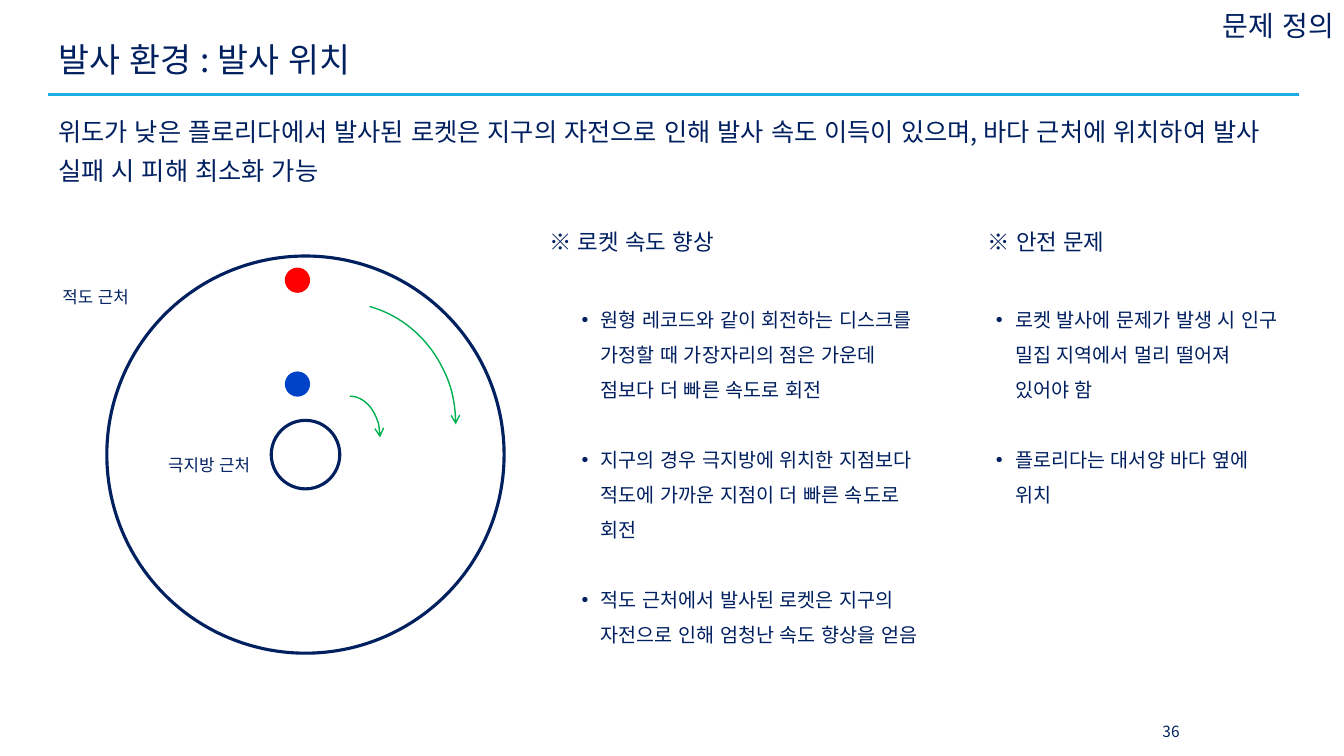
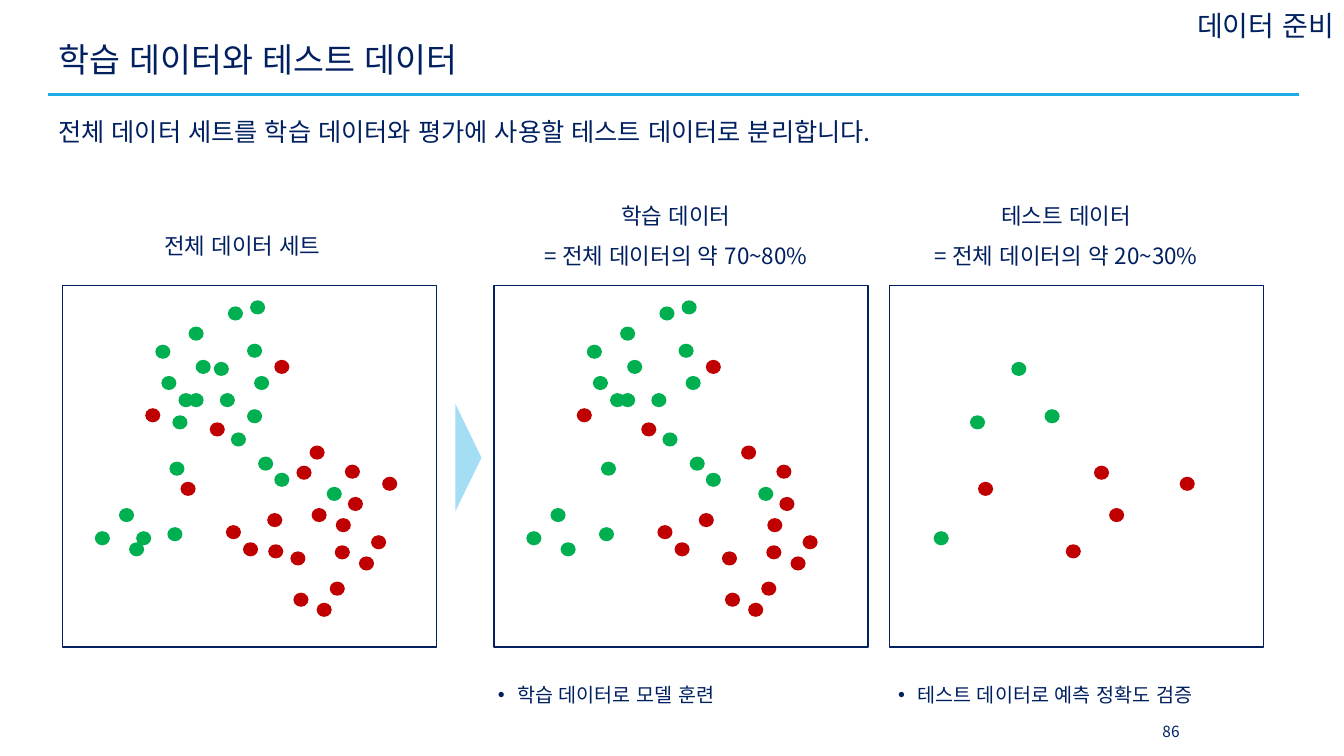
from lxml import etree
from pptx import Presentation
from pptx.dml.color import RGBColor
from pptx.enum.shapes import MSO_CONNECTOR, MSO_SHAPE
from pptx.enum.text import MSO_ANCHOR, PP_ALIGN
from pptx.oxml.ns import qn
from pptx.util import Inches, Pt

NAVY = RGBColor(0x00, 0x20, 0x60)
SKY = RGBColor(0x1C, 0xAD, 0xE4)
PALE_SKY = RGBColor(0xA4, 0xDE, 0xF4)
GREEN = RGBColor(0x00, 0xB0, 0x50)
DARK_RED = RGBColor(0xC0, 0x00, 0x00)
RED = RGBColor(0xFF, 0x00, 0x00)
BLUE = RGBColor(0x00, 0x42, 0xC8)

KOREAN = "Noto Sans CJK KR"
LATIN = "Arial"
LINE_HEIGHT = 1.19  # line pitch per point of text size

LEFT, CENTER, RIGHT = PP_ALIGN.LEFT, PP_ALIGN.CENTER, PP_ALIGN.RIGHT
TOP, MIDDLE = MSO_ANCHOR.TOP, MSO_ANCHOR.MIDDLE
OVAL, ARC = MSO_SHAPE.OVAL, MSO_SHAPE.ARC
RECTANGLE, TRIANGLE = MSO_SHAPE.RECTANGLE, MSO_SHAPE.ISOSCELES_TRIANGLE
STRAIGHT = MSO_CONNECTOR.STRAIGHT

CONTENT_LEFT, CONTENT_WIDTH = 0.48, 12.4
PANEL_WIDTH, PANEL_HEIGHT = 3.71, 3.59
DOT_WIDTH, DOT_HEIGHT = 0.15, 0.14

# Dot positions are measured from the top left corner of a panel.
TRAIN_DOTS = {
    GREEN: [(0.32, 2.44), (1.64, 0.21), (1.06, 1.75), (0.56, 2.21), (0.98, 0.9),
            (0.92, 0.59), (1.25, 0.41), (1.86, 0.15), (1.32, 0.74), (1.25, 1.07),
            (0.66, 2.55), (1.67, 1.46), (1.56, 1.07), (1.83, 0.58), (1.9, 0.9),
            (1.15, 1.07), (1.94, 1.7), (2.62, 2), (2.1, 1.86), (1.04, 2.4)],
    DARK_RED: [(1.62, 2.38), (1.79, 2.55), (2.03, 2.26), (2.8, 1.78), (2.83, 2.1),
               (2.71, 2.31), (2.45, 1.59), (2.26, 2.64), (2.7, 2.58), (3.06, 2.48),
               (2.94, 2.69), (2.1, 0.74), (1.46, 1.36), (2.29, 3.05), (2.65, 2.94),
               (2.52, 3.15), (0.82, 1.22)],
}
TEST_DOTS = {
    GREEN: [(1.09, 1.29), (1.5, 0.76), (1.83, 1.23), (0.73, 2.44)],
    DARK_RED: [(2.47, 2.21), (3.17, 1.9), (2.32, 1.79), (1.17, 1.95), (2.04, 2.57)],
}


def add_bullet(paragraph):
    properties = paragraph._p.get_or_add_pPr()
    properties.set("marL", str(Inches(0.19)))
    properties.set("indent", str(-Inches(0.19)))
    etree.SubElement(properties, qn("a:buFont"), typeface=LATIN)
    etree.SubElement(properties, qn("a:buChar"), char="•")


def add_text(slide, box, lines, size, align=LEFT, anchor=TOP, spacing=1.0,
             top_inset=0.05, font=KOREAN, bullets=False, gap=0):
    """Place one paragraph per line; gap is the space between them in points."""
    frame = slide.shapes.add_textbox(*map(Inches, box)).text_frame
    frame.word_wrap = True
    frame.vertical_anchor = anchor
    frame.margin_top = Inches(top_inset)
    for number, line in enumerate(lines):
        paragraph = frame.add_paragraph() if number else frame.paragraphs[0]
        if bullets:
            add_bullet(paragraph)
        paragraph.alignment = align
        paragraph.line_spacing = Pt(round(size * LINE_HEIGHT * spacing, 1))
        if number and gap:
            paragraph.space_before = Pt(gap)
        run = paragraph.add_run()
        run.text = line
        run.font.size = Pt(size)
        run.font.name = font
        run.font.color.rgb = NAVY
        properties = run._r.get_or_add_rPr()
        properties.set("lang", "ko-KR")
        etree.SubElement(properties, qn("a:ea"), typeface=KOREAN)


def add_note(slide, box, lines, size, **options):
    """Place loosely spaced text with a deeper top inset."""
    add_text(slide, box, lines, size, spacing=1.5, top_inset=0.12, **options)


def add_bullets(slide, box, lines):
    add_note(slide, box, lines, 14, font=LATIN, bullets=True, gap=25)


def add_figure(slide, kind, box, fill=None, line=None, weight=1):
    figure = slide.shapes.add_shape(kind, *map(Inches, box))
    figure.shadow.inherit = False
    if fill is None:
        figure.fill.background()
    else:
        figure.fill.solid()
        figure.fill.fore_color.rgb = fill
    if line is None:
        figure.line.fill.background()
    else:
        figure.line.color.rgb = line
        figure.line.width = Pt(weight)
    return figure


def add_circle(slide, center_x, center_y, diameter, **style):
    corner = center_x - diameter / 2, center_y - diameter / 2
    add_figure(slide, OVAL, (*corner, diameter, diameter), **style)


def add_arc_arrow(slide, box, start=None):
    arc = add_figure(slide, ARC, box, line=GREEN)
    if start is not None:
        arc.adjustments[0] = start
    etree.SubElement(arc.line._get_or_add_ln(), qn("a:tailEnd"), type="arrow")


def add_framed_slide(deck, section, title, summary, page):
    """Start a slide with the rule, title, summary, section tag and page number."""
    slide = deck.slides.add_slide(deck.slide_layouts[6])
    rule = slide.shapes.add_connector(
        STRAIGHT, Inches(CONTENT_LEFT), Inches(0.94),
        Inches(CONTENT_LEFT + CONTENT_WIDTH), Inches(0.94))
    rule.line.color.rgb = SKY
    rule.line.width = Pt(2.25)
    etree.SubElement(rule._element.spPr, qn("a:effectLst"))
    add_text(slide, (CONTENT_LEFT, 0.29, CONTENT_WIDTH, 0.63), [title], 24,
             anchor=MIDDLE, spacing=0.9)
    add_text(slide, (CONTENT_LEFT, 1.02, CONTENT_WIDTH, 1.26), [summary], 18,
             spacing=1.3)
    add_text(slide, (9.26, 0.04, 4.07, 0.43), [section], 20,
             align=RIGHT, anchor=MIDDLE)
    add_text(slide, (11.3, 7.06, 0.63, 0.4), [page], 11,
             align=CENTER, anchor=MIDDLE)
    return slide


def add_rotating_disk(slide, left, top):
    """Draw the Earth as a disk seen from above the pole."""
    diameter = 3.94
    middle_x, middle_y = left + diameter / 2, top + diameter / 2
    add_circle(slide, middle_x, middle_y, diameter, line=NAVY, weight=2.25)
    add_circle(slide, middle_x, middle_y, 0.68, line=NAVY, weight=2.25)
    for drop, colour in ((0.24, RED), (1.27, BLUE)):
        add_circle(slide, left + 1.89, top + drop, 0.25, fill=colour)
    add_arc_arrow(slide, (left + 2.11, top + 1.39, 0.6, 0.82))
    add_arc_arrow(slide, (left + 1.16, top + 0.46, 2.3, 2.42), start=170.54)
    for shift, drop, label in ((-0.54, 0.09, "적도 근처"), (0.51, 1.75, "극지방 근처")):
        add_note(slide, (left + shift, top + drop, 1.11, 0.43), [label], 12,
                 font=LATIN)


def add_reasons(slide, heading_left, bullets_left, width, height, heading, reasons):
    top = 2.18
    add_text(slide, (heading_left, top, 2.77, 0.43), [heading], 16,
             align=CENTER, anchor=MIDDLE)
    add_bullets(slide, (bullets_left, top + 0.64, width, height), reasons)


def add_scatter_panel(slide, left, top, dot_sets, shift=0):
    """Draw a frame with dots; shift moves all dots sideways."""
    for dots in dot_sets:
        for colour, places in dots.items():
            for x, y in places:
                add_figure(slide, OVAL,
                           (left + shift + x, top + y, DOT_WIDTH, DOT_HEIGHT),
                           fill=colour)
    add_figure(slide, RECTANGLE, (left, top, PANEL_WIDTH, PANEL_HEIGHT), line=NAVY)


def build_launch_site(deck):
    slide = add_framed_slide(
        deck, "문제 정의", "발사 환경 : 발사 위치",
        "위도가 낮은 플로리다에서 발사된 로켓은 지구의 자전으로 인해 발사 속도 이득이 있으며, "
        "바다 근처에 위치하여 발사 실패 시 피해 최소화 가능", "36")
    add_rotating_disk(slide, 1.06, 2.54)
    add_reasons(slide, 4.88, 5.67, 3.63, 4.01, "※ 로켓 속도 향상", [
        "원형 레코드와 같이 회전하는 디스크를 가정할 때 가장자리의 점은 가운데 점보다 더 빠른 속도로 회전",
        "지구의 경우 극지방에 위치한 지점보다 적도에 가까운 지점이 더 빠른 속도로 회전",
        "적도 근처에서 발사된 로켓은 지구의 자전으로 인해 엄청난 속도 향상을 얻음",
    ])
    add_reasons(slide, 8.99, 9.78, 3.1, 2.24, "※ 안전 문제", [
        "로켓 발사에 문제가 발생 시 인구 밀집 지역에서 멀리 떨어져 있어야 함",
        "플로리다는 대서양 바다 옆에 위치",
    ])


def build_data_split(deck):
    slide = add_framed_slide(
        deck, "데이터 준비", "학습 데이터와 테스트 데이터",
        "전체 데이터 세트를 학습 데이터와 평가에 사용할 테스트 데이터로 분리합니다.", "86")
    top = 2.83
    add_scatter_panel(slide, 0.62, top, [TRAIN_DOTS, TEST_DOTS])
    add_scatter_panel(slide, 4.9, top, [TRAIN_DOTS])
    add_scatter_panel(slide, 8.82, top, [TEST_DOTS], shift=-0.29)
    add_figure(slide, TRIANGLE, (4.11, 4.41, 1.07, 0.26), fill=PALE_SKY).rotation = 90

    add_note(slide, (1.53, 2.05, 1.93, 0.52), ["전체 데이터 세트"], 16)
    splits = (
        (5.12, 4.84, "학습 데이터", "= 전체 데이터의 약 70~80%", "학습 데이터로 모델 훈련"),
        (8.99, 8.81, "테스트 데이터", "= 전체 데이터의 약 20~30%",
         "테스트 데이터로 예측 정확도 검증"),
    )
    for heading_left, purpose_left, name, share, purpose in splits:
        add_note(slide, (heading_left, 1.75, 3.17, 0.93), [name, share], 16,
                 align=CENTER)
        add_bullets(slide, (purpose_left, 6.54, 3.96, 0.48), [purpose])


def main():
    deck = Presentation()
    deck.slide_width, deck.slide_height = Inches(13.33), Inches(7.5)
    build_launch_site(deck)
    build_data_split(deck)
    deck.save("out.pptx")


if __name__ == "__main__":
    main()
